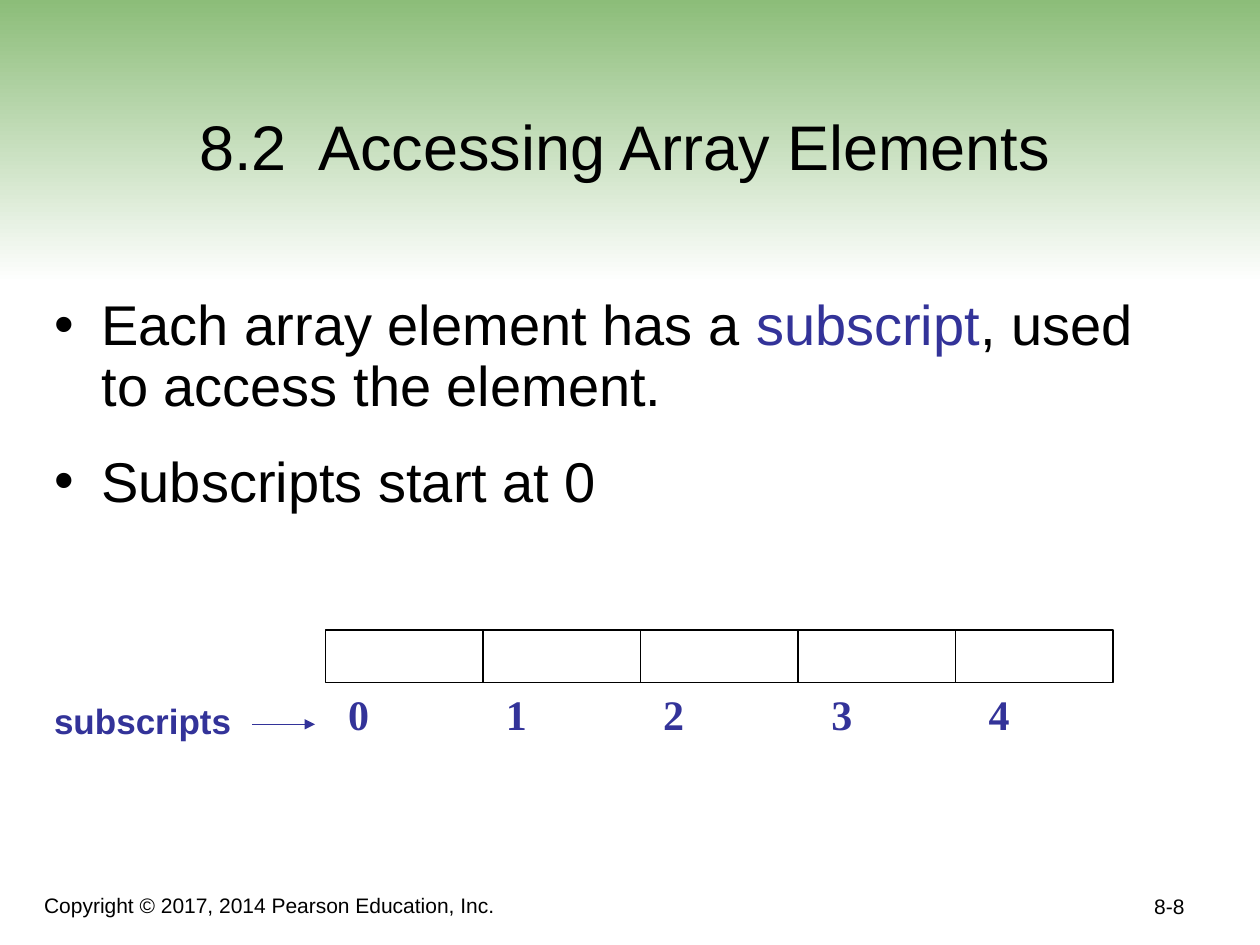
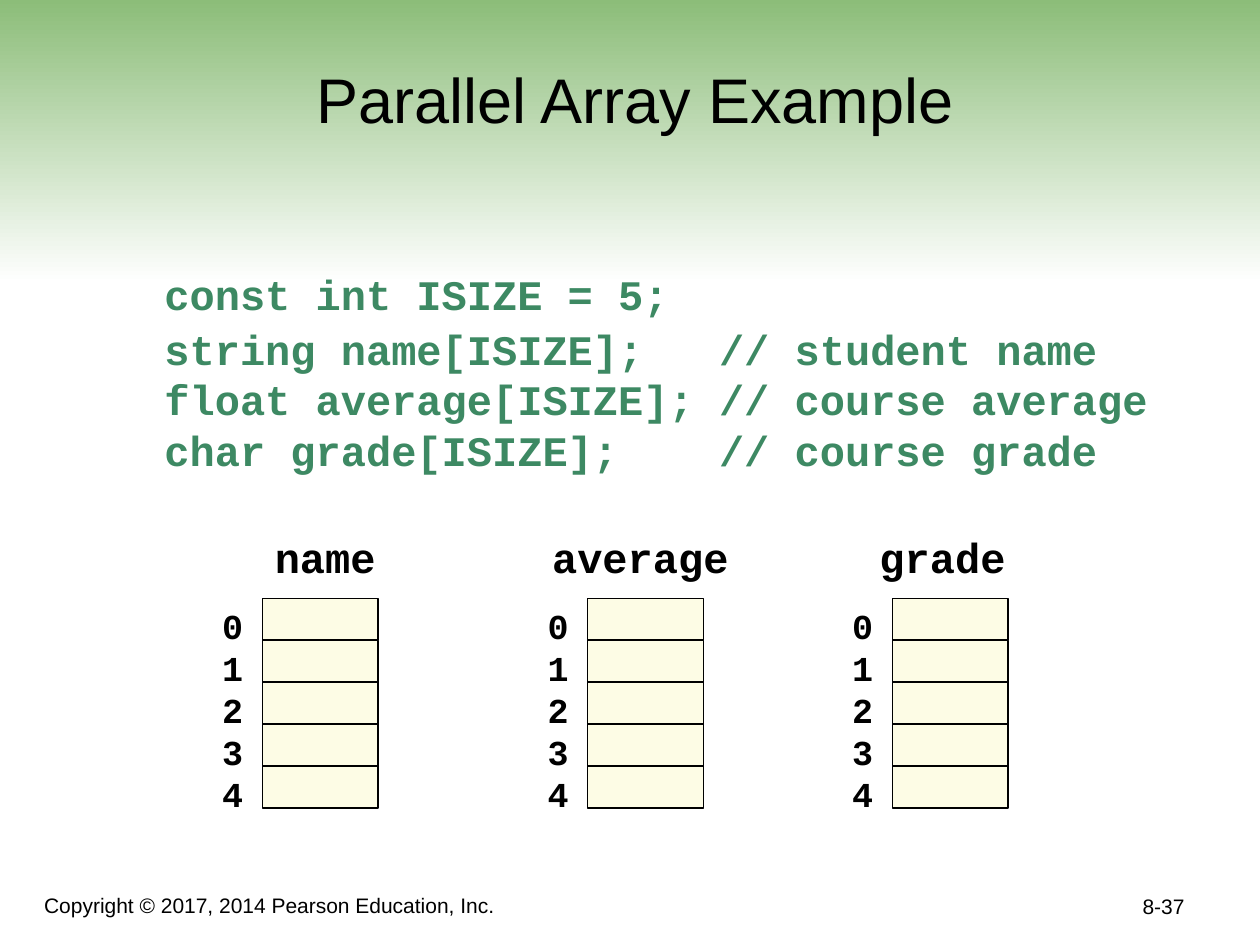
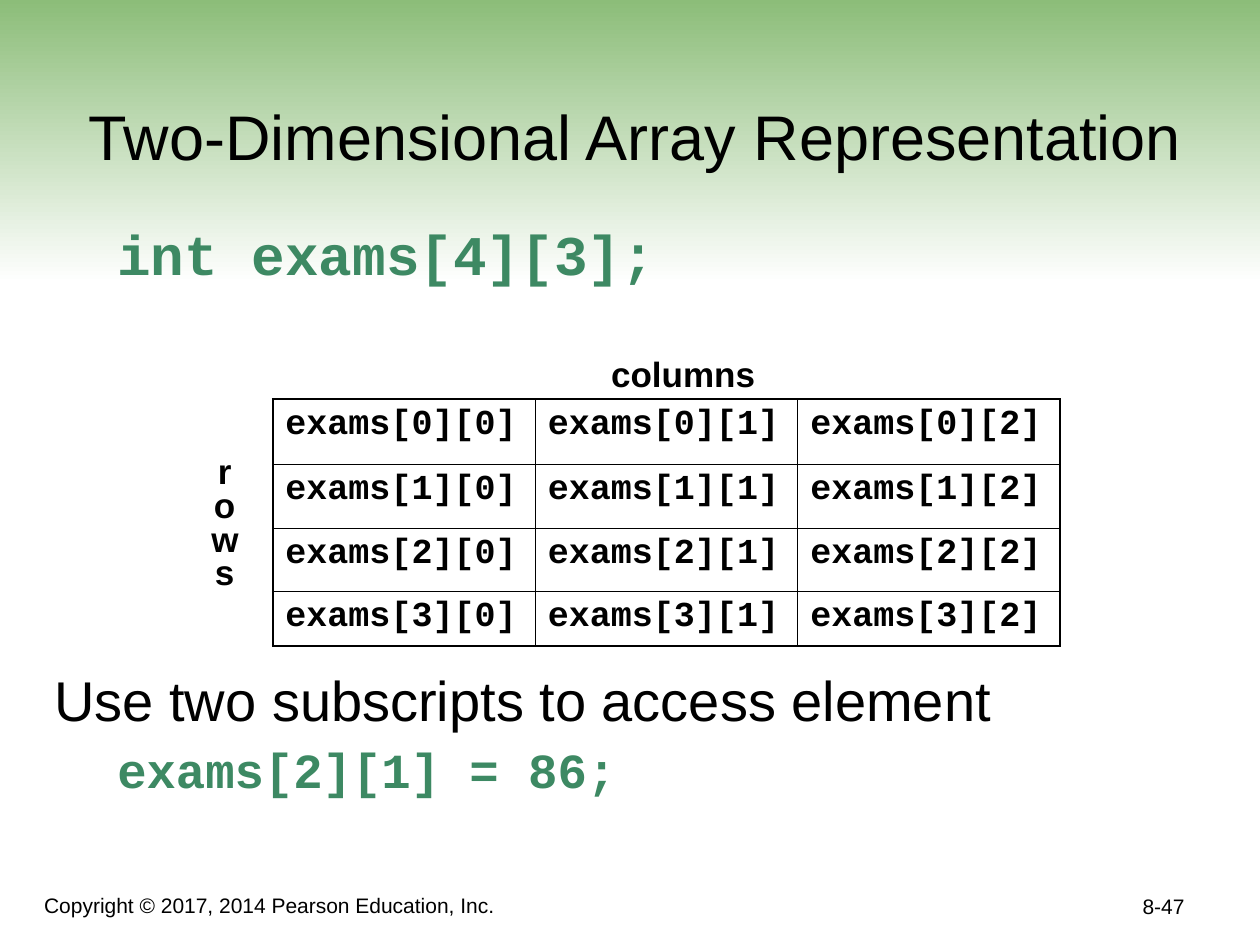
from pptx import Presentation
from pptx.dml.color import RGBColor
from pptx.enum.shapes import MSO_CONNECTOR, MSO_SHAPE
from pptx.enum.text import MSO_ANCHOR, MSO_AUTO_SIZE, PP_ALIGN
from pptx.oxml.ns import qn
from pptx.util import Cm, Pt
from lxml.etree import SubElement

BLACK, WHITE, BLUE = "000000", "FFFFFF", "333399"
LEAF, CREAM, CODE = "8CBD79", "FDFCE5", "3D8963"
MONO = {"font": "Courier New", "bold": True}
GREEN = {**MONO, "color": CODE}


def tint(code):
    """Turn a hex string into a colour."""
    return RGBColor.from_string(code)


def write(para, text, size=20, font="Arial", color=BLACK, bold=False,
          align=PP_ALIGN.LEFT, before=0, lead=None):
    """Add a run of text to a paragraph and format both."""
    para.alignment = align
    para.space_before = Pt(before)
    if lead:
        para.line_spacing = lead
    run = para.add_run()
    run.text = text
    run.font.size = Pt(size)
    run.font.name = font
    run.font.bold = bold
    run.font.color.rgb = tint(color)


def fill_lines(frame, lines, **form):
    """Write each line as a paragraph of an empty frame."""
    for i, line in enumerate(lines):
        para = frame.add_paragraph() if i else frame.paragraphs[0]
        write(para, line, **form)


def set_tabs(para, stops):
    """Give a paragraph left tab stops."""
    group = SubElement(para._p.get_or_add_pPr(), qn("a:tabLst"))
    for stop in stops:
        SubElement(group, qn("a:tab"), pos=str(Cm(stop)), algn="l")


def indent(para, left):
    """Take the bullet off a paragraph and indent all of it."""
    props = para._p.get_or_add_pPr()
    props.set("marL", str(Cm(left)))
    props.set("indent", "0")
    SubElement(props, qn("a:buNone"))


def place(shape, left, top, width, height):
    """Move and size a shape."""
    shape.left, shape.top = Cm(left), Cm(top)
    shape.width, shape.height = Cm(width), Cm(height)


def add_box(slide, area, wrap=True, low=False):
    """Add a text box and return its frame."""
    frame = slide.shapes.add_textbox(*map(Cm, area)).text_frame
    frame.word_wrap = wrap
    frame.vertical_anchor = MSO_ANCHOR.BOTTOM if low else MSO_ANCHOR.TOP
    return frame


def add_rect(slide, area, fill=None):
    """Add a thinly outlined rectangle."""
    rect = slide.shapes.add_shape(MSO_SHAPE.RECTANGLE, *map(Cm, area))
    rect.shadow.inherit = False
    rect.line.color.rgb = tint(BLACK)
    rect.line.width = Pt(0.75)
    if fill:
        rect.fill.solid()
        rect.fill.fore_color.rgb = tint(fill)
    else:
        rect.fill.background()
    return rect


def add_arrow(slide, start, end):
    """Add a blue arrow."""
    arrow = slide.shapes.add_connector(
        MSO_CONNECTOR.STRAIGHT, *map(Cm, start + end))
    arrow.line.color.rgb = tint(BLUE)
    arrow.line.width = Pt(0.75)
    SubElement(arrow.line._get_or_add_ln(), qn("a:tailEnd"), type="triangle")
    SubElement(arrow.element.spPr, qn("a:effectLst"))


def add_array(slide, left, top):
    """Add a tall array of five cells with its subscripts."""
    high = 4.23 / 5
    for i in range(5):
        add_rect(slide, (left, top + i * high, 2.33, high), CREAM)
    frame = add_box(slide, (left - 1.06, top, 0.85, 4.5))
    fill_lines(frame, "01234", **MONO)


def edge_cell(cell, sides):
    """Draw the four borders of a cell, thick where a side is outer."""
    for i, (tag, outer) in enumerate(zip("LRTB", sides)):
        props = cell._tc.get_or_add_tcPr()
        line = SubElement(props, qn(f"a:ln{tag}"),
                          w=str(Pt(1.08 if outer else 0.45)))
        solid = SubElement(line, qn("a:solidFill"))
        SubElement(solid, qn("a:srgbClr"), val=BLACK)
        props.insert(i, line)


def add_exams(slide, left, top, heights, wide, count):
    """Add the table of exam elements."""
    rows = len(heights)
    table = slide.shapes.add_table(
        rows, count, Cm(left), Cm(top), Cm(wide * count),
        Cm(sum(heights))).table
    for col in table.columns:
        col.width = Cm(wide)
    for r, height in enumerate(heights):
        table.rows[r].height = Cm(height)
        for c in range(count):
            cell = table.cell(r, c)
            cell.fill.background()
            edge_cell(cell, (c == 0, c == count - 1, r == 0, r == rows - 1))
            write(cell.text_frame.paragraphs[0], f"exams[{r}][{c}]", **MONO)


def set_master(deck, slide):
    """Put the green band and the copyright line on the master."""
    band = add_rect(slide, (0, 0, 25.4, 5.72))
    band.line.fill.background()
    band.fill.gradient()
    band.fill.gradient_angle = 270
    for stop, code, spot in zip(band.fill.gradient_stops, (LEAF, WHITE), (0, 1)):
        stop.color.rgb = tint(code)
        stop.position = spot
    frame = add_box(slide, (0.64, 17.56, 17.15, 1.07), low=True)
    write(frame.paragraphs[0],
          "Copyright © 2017, 2014 Pearson Education, Inc.", size=12)
    tree = deck.slide_master.shapes.element
    note = slide.shapes[-1]
    for i, shape in enumerate((band, note)):
        shape.element.nvSpPr.cNvPr.set("id", str(50 + i))
        tree.insert(2 + i, shape.element)


def add_slide(deck, title, page, head, body):
    """Add a slide with title and page number; return it and its body."""
    slide = deck.slides.add_slide(deck.slide_layouts[1])
    name, text = slide.placeholders
    place(name, *head)
    place(text, *body)
    for shape in (name, text):
        shape.text_frame.auto_size = MSO_AUTO_SIZE.NONE
    name.text_frame.vertical_anchor = MSO_ANCHOR.BOTTOM
    write(name.text_frame.paragraphs[0], title, size=36,
          align=PP_ALIGN.CENTER)
    text.text_frame.margin_right = 0
    frame = add_box(slide, (18.85, 17.37, 5.28, 1.27), low=True)
    write(frame.paragraphs[0], page, size=12, align=PP_ALIGN.RIGHT)
    return slide, text.text_frame


def access_slide(deck):
    """Build the slide on array subscripts."""
    slide, body = add_slide(deck, "8.2  Accessing Array Elements", "8-8",
                            (1.7, 0.64, 21.79, 3.18), (0.84, 5.87, 23.04, 10.59))
    set_master(deck, slide)
    first = body.paragraphs[0]
    for text, color in (("Each array element has a ", BLACK),
                        ("subscript", BLUE),
                        (", used to access the element.", BLACK)):
        write(first, text, size=32, color=color, lead=0.9)
    write(body.add_paragraph(), "Subscripts start at 0", size=32, before=16)

    label = add_box(slide, (0.84, 13.97, 4.45, 1.12))
    write(label.paragraphs[0], "subscripts", color=BLUE, bold=True)
    add_arrow(slide, (5.08, 14.6), (6.35, 14.6))
    marks = add_box(slide, (6.55, 13.75, 15.88, 1.27))
    marks.margin_left = Cm(0.47)
    set_tabs(marks.paragraphs[0], (3.18, 6.35, 9.74, 12.91))
    write(marks.paragraphs[0], "0\t1\t2\t3\t4", size=24,
          font="Times New Roman", color=BLUE, bold=True)
    wide = 15.88 / 5
    for i in range(5):
        add_rect(slide, (6.56 + i * wide, 12.7, wide, 1.06))


def array_slide(deck):
    """Build the slide on parallel arrays."""
    slide, body = add_slide(deck, "Parallel Array Example", "8-37",
                            (0.84, 0.84, 23.93, 2.03), (2.11, 4.88, 21.59, 11.86))
    body.margin_top = Cm(0.53)
    fill_lines(body, ("const int ISIZE = 5;",
                      "string name[ISIZE];   // student name",
                      "float average[ISIZE]; // course average",
                      "char grade[ISIZE];    // course grade"),
               size=24, **GREEN)
    for para in body.paragraphs:
        indent(para, 0.95)
    body.paragraphs[1].space_before = Pt(2.6)

    for left in (5.29, 11.85, 17.99):
        add_array(slide, left, 12.06)
    names = add_box(slide, (5.29, 10.59, 15.88, 1.27))
    set_tabs(names.paragraphs[0], (5.59, 12.19))
    write(names.paragraphs[0], "name\taverage\tgrade", size=24, **MONO)


def table_slide(deck):
    """Build the slide on arrays of two dimensions."""
    slide, body = add_slide(deck, "Two-Dimensional Array Representation",
                            "8-47", (0.84, 0.84, 23.93, 2.77),
                            (0.84, 4.45, 23.04, 12.7))
    first, use, last = (body.paragraphs[0], body.add_paragraph(),
                        body.add_paragraph())
    for para, left in ((first, 1.27), (use, 0), (last, 1.27)):
        indent(para, left)
    write(first, "int exams[4][3];", size=32, lead=0.9, **GREEN)
    write(use, "Use two subscripts to access element", size=32,
          before=220.5, lead=0.9)
    write(last, "exams[2][1] = 86;", size=28, before=7, lead=0.9, **GREEN)

    add_exams(slide, 5.5, 8.05, (1.31, 1.29, 1.27, 1.09), 5.29, 3)
    top = add_box(slide, (12.07, 6.99, 3.8, 1.12))
    write(top.paragraphs[0], "columns", bold=True)
    side = add_box(slide, (4.01, 9.11, 1.04, 2.97), wrap=False)
    fill_lines(side, "rows", bold=True, align=PP_ALIGN.CENTER, lead=0.8)


def main():
    """Build and save the deck."""
    deck = Presentation()
    deck.slide_width, deck.slide_height = Cm(25.4), Cm(19.05)
    access_slide(deck)
    array_slide(deck)
    table_slide(deck)
    deck.save("out.pptx")


if __name__ == "__main__":
    main()
